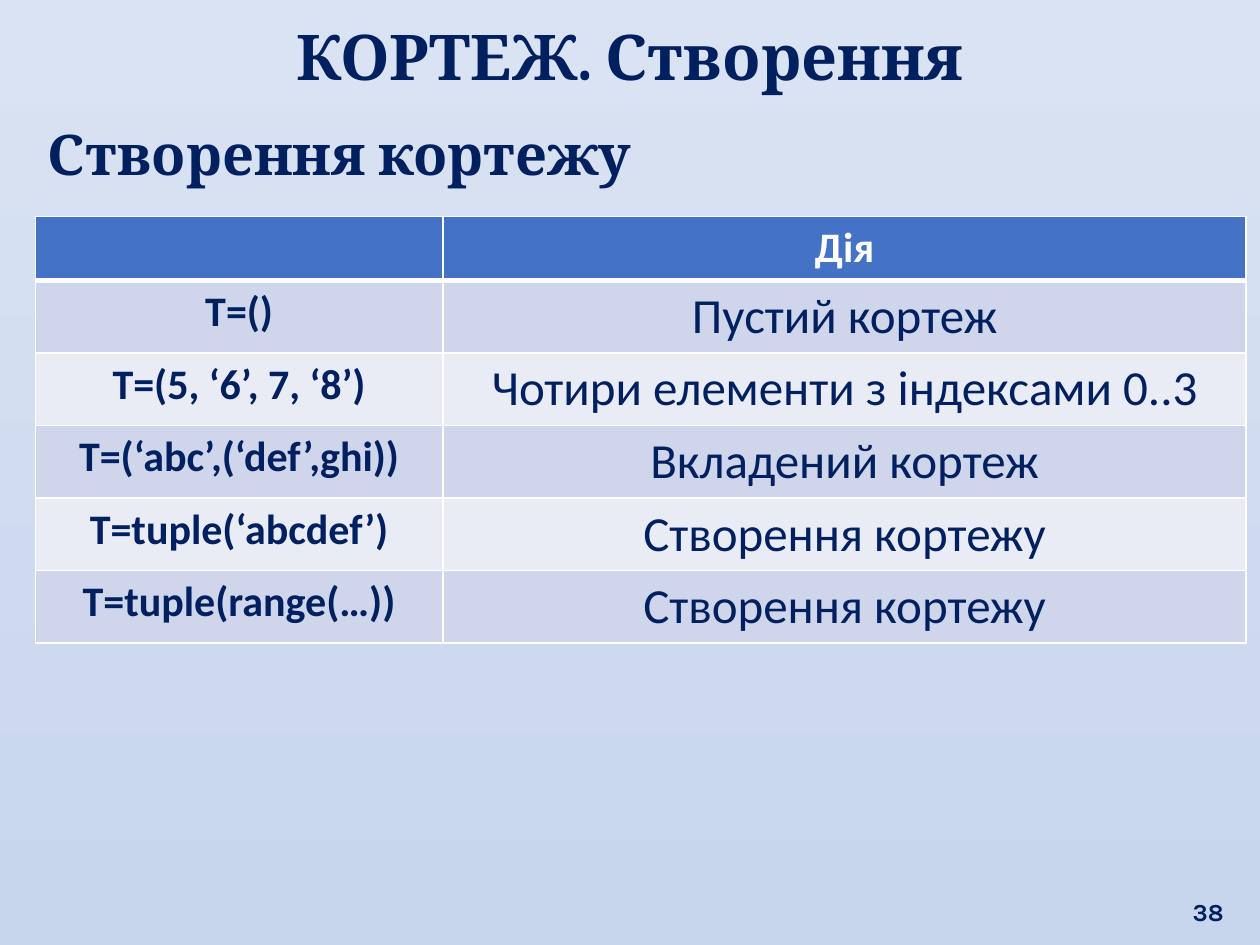
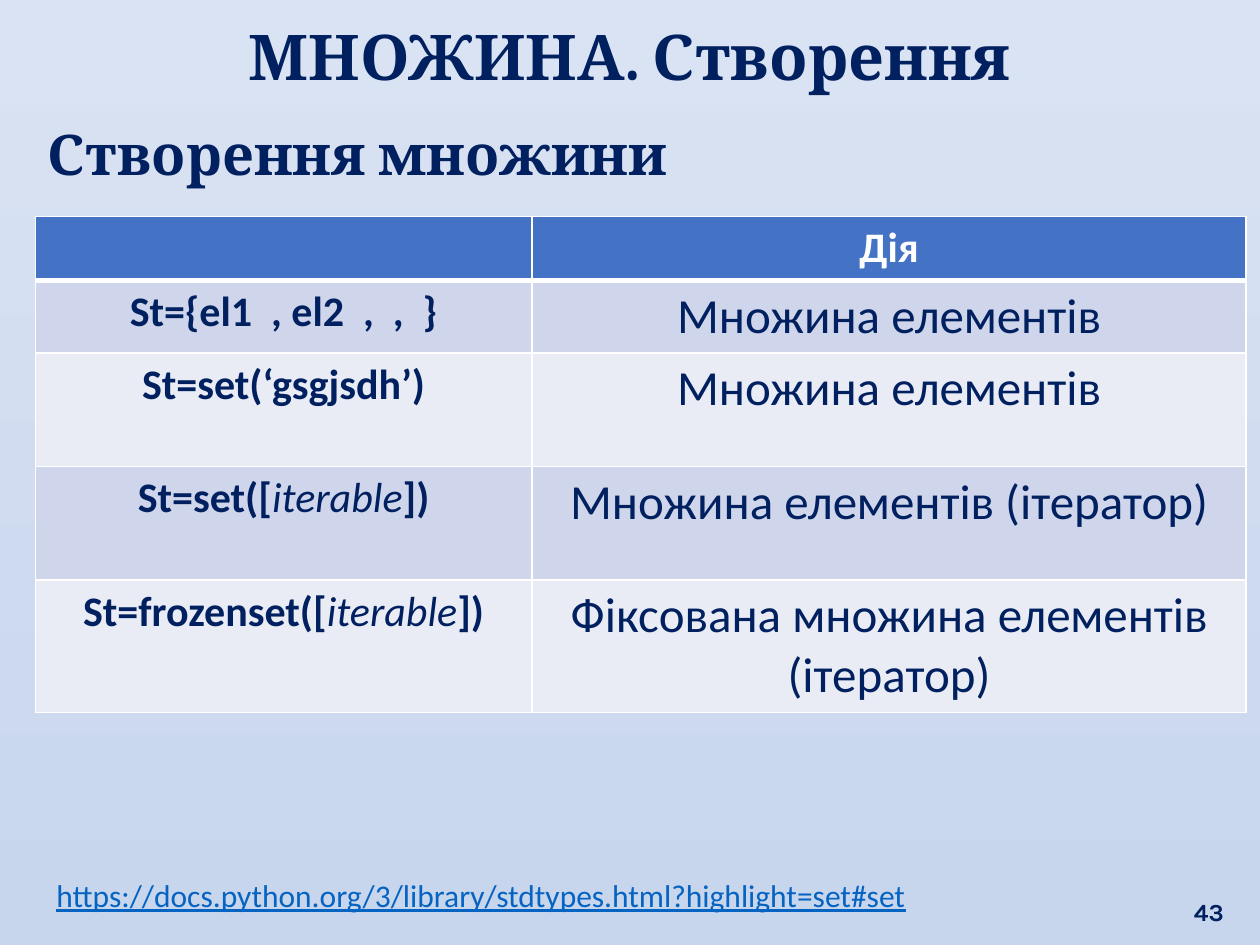
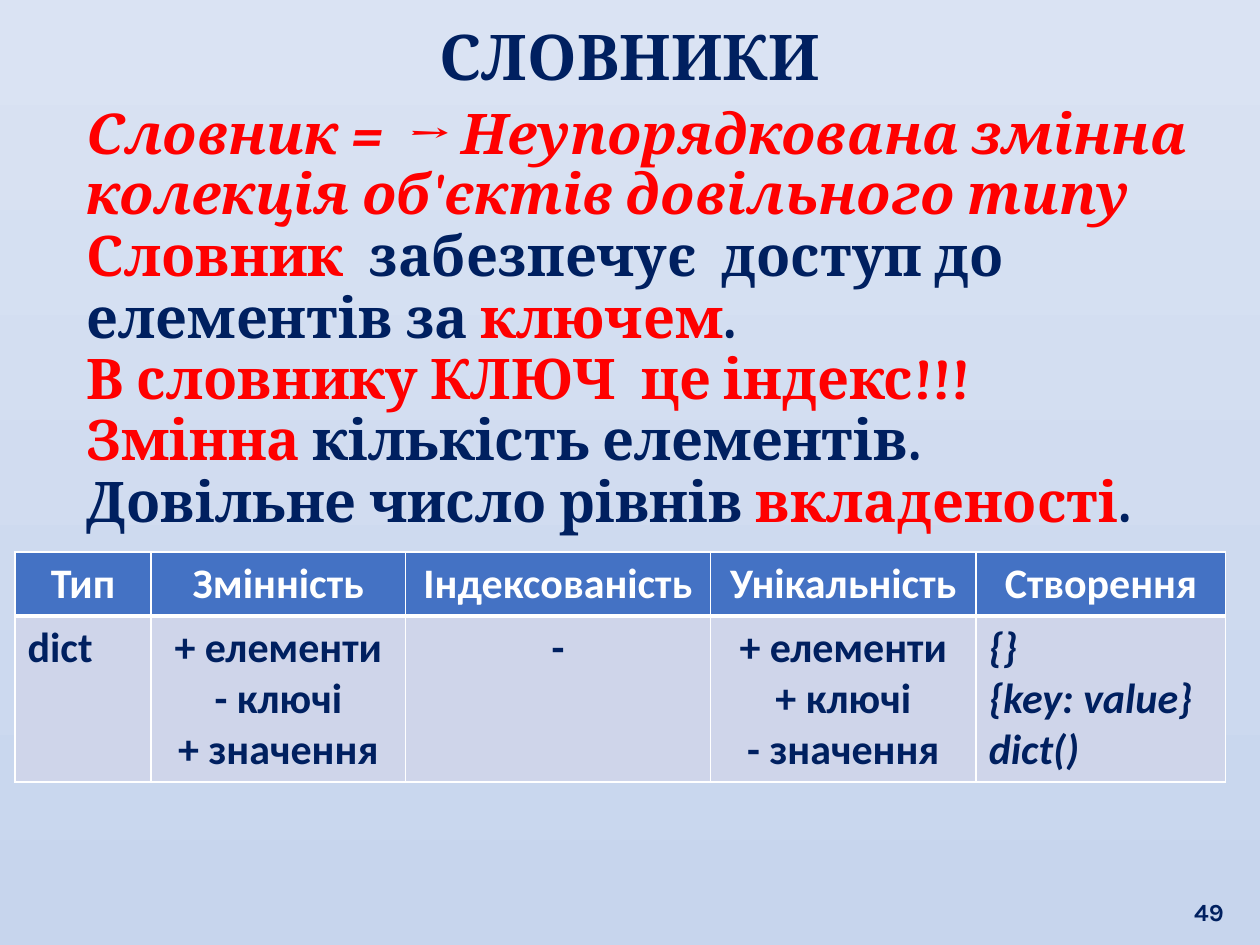
from lxml import etree
from pptx import Presentation
from pptx.dml.color import RGBColor
from pptx.enum.text import MSO_ANCHOR, MSO_AUTO_SIZE, PP_ALIGN
from pptx.oxml.ns import qn
from pptx.util import Pt

LEFT, CENTER, RIGHT = PP_ALIGN.LEFT, PP_ALIGN.CENTER, PP_ALIGN.RIGHT
TOP, MIDDLE, BOTTOM = MSO_ANCHOR.TOP, MSO_ANCHOR.MIDDLE, MSO_ANCHOR.BOTTOM
NO_AUTOFIT = MSO_AUTO_SIZE.NONE

NAVY = RGBColor(0x00, 0x20, 0x60)
RED = RGBColor(0xFF, 0x00, 0x00)
WHITE = RGBColor(0xFF, 0xFF, 0xFF)
LINK_BLUE = RGBColor(0x05, 0x63, 0xC1)
HEADER_BLUE = RGBColor(0x44, 0x72, 0xC4)
BANDS = (RGBColor(0xCF, 0xD5, 0xEA), RGBColor(0xE9, 0xEB, 0xF5))
BACKGROUND = (RGBColor(0xDA, 0xE3, 0xF3), RGBColor(0xC7, 0xD5, 0xED))

HEADING_FONT, TABLE_FONT, NUMBER_FONT = "Cambria", "Calibri", "Karla"

TITLE_BOX = (8.6, 5.8, 702.7, 51.1)
SUBTITLE_BOX = (20.2, 69.1, 685.4, 42.5)
LIST_BOX = (42.5, 56.9, 657.4, 296.6)
NUMBER_BOX = (671.8, 496.8, 34.6, 36)
LINK_BOX = (25.2, 496.8, 686.2, 28.8)
HEADER_HEIGHT, ROW_HEIGHT, TALL_ROW, TWO_LINE_ROW = 36, 40.8, 64.8, 74.4


def write(tf, paragraphs, align=LEFT, line=None, before=0, **fmt):
    """Fill a text frame; a paragraph is a string or a list of strings and (text, format) runs."""
    for i, runs in enumerate(paragraphs):
        p = tf.paragraphs[0] if i == 0 else tf.add_paragraph()
        p.alignment, p.line_spacing, p.space_before = align, line, Pt(before)
        for run in [runs] if isinstance(runs, str) else runs:
            text, extra = (run, {}) if isinstance(run, str) else run
            style = {**fmt, **extra}
            r = p.add_run()
            r.text = text
            r.font.name = style["font"]
            r.font.size = Pt(style["size"])
            r.font.color.rgb = style.get("color", NAVY)
            r.font.bold = style.get("bold", False)
            r.font.italic = style.get("italic", False)
            r.font.underline = style.get("underline", False)


def place(sp, box, anchor):
    sp.left, sp.top, sp.width, sp.height = map(Pt, box)
    tf = sp.text_frame
    tf.word_wrap, tf.auto_size, tf.vertical_anchor = True, NO_AUTOFIT, anchor
    return tf


def add_text(slide, box, text, anchor=TOP, **fmt):
    sp = slide.shapes.add_textbox(*map(Pt, box))
    write(place(sp, box, anchor), [text], **fmt)


def fill_body(slide, box, paragraphs, **fmt):
    tf = place(slide.placeholders[1], box, TOP)
    write(tf, paragraphs, before=7.5, line=0.9, font=HEADING_FONT, size=32, bold=True, **fmt)
    for p in tf.paragraphs:
        pPr = p._p.get_or_add_pPr()
        pPr.set("marL", "0")
        pPr.set("indent", "0")
        etree.SubElement(pPr, qn("a:buNone"))
    return tf


def set_borders(cell, top, bottom):
    tcPr = cell._tc.get_or_add_tcPr()
    for i, (side, width) in enumerate((("L", 1), ("R", 1), ("T", top), ("B", bottom))):
        ln = etree.Element(qn(f"a:ln{side}"), w=str(Pt(width)))
        solid = etree.SubElement(ln, qn("a:solidFill"))
        etree.SubElement(solid, qn("a:srgbClr"), val=str(WHITE))
        tcPr.insert(i, ln)


def add_table(slide, left, top, col_widths, row_heights, rows, column_formats):
    """Add a banded table whose cells are lists of paragraphs; the first row is the header."""
    frame = slide.shapes.add_table(len(rows), len(col_widths), Pt(left), Pt(top),
                                   Pt(sum(col_widths)), Pt(sum(row_heights)))
    table = frame.table
    for col, width in zip(table.columns, col_widths):
        col.width = Pt(width)
    for i, (row, height) in enumerate(zip(rows, row_heights)):
        table.rows[i].height = Pt(height)
        for j, paragraphs in enumerate(row):
            cell = table.cell(i, j)
            cell.fill.solid()
            if i == 0:
                cell.fill.fore_color.rgb = HEADER_BLUE
                fmt = dict(align=CENTER, size=24, bold=True, color=WHITE)
            else:
                cell.fill.fore_color.rgb = BANDS[(i - 1) % 2]
                fmt = column_formats[j]
            set_borders(cell, top=3 if i == 1 else 1, bottom=3 if i == 0 else 1)
            write(cell.text_frame, paragraphs, font=TABLE_FONT, **fmt)


def add_base_slide(prs, title, number):
    slide = prs.slides.add_slide(prs.slide_layouts[1])
    write(place(slide.shapes.title, TITLE_BOX, MIDDLE), [title], align=CENTER,
          font=HEADING_FONT, size=36, bold=True)
    add_text(slide, NUMBER_BOX, number, anchor=BOTTOM, align=RIGHT,
             font=NUMBER_FONT, size=14, bold=True)
    return slide


def creation_slide(prs, title, number, subtitle, code_width, row_heights, examples):
    """Slide with a subtitle and a table of code examples and what they do."""
    slide = add_base_slide(prs, title, number)
    fill_body(slide, SUBTITLE_BOX, [subtitle])
    rows = [([], ["Дія"])] + [([code], [action]) for code, action in examples]
    formats = (dict(align=CENTER, size=24, bold=True), dict(align=CENTER, size=28))
    add_table(slide, 20.2, 123.8, (code_width, 691.9 - code_width),
              (HEADER_HEIGHT, *row_heights), rows, formats)
    return slide


def dictionary_slide(prs):
    slide = add_base_slide(prs, "СЛОВНИКИ", "49")
    navy = dict(color=NAVY)
    tf = fill_body(slide, LIST_BOX, [
        [("Словник =  → Неупорядкована змінна колекція об'єктів довільного типу",
          dict(italic=True))],
        ["Словник ", (" забезпечує  доступ до елементів за ", navy), "ключем", (".", navy)],
        "В словнику КЛЮЧ  це індекс!!!",
        ["Змінна", (" кількість елементів.", navy)],
        [("Довільне число рівнів ", navy), "вкладеності", (".", navy)],
    ], color=RED)
    for p in tf.paragraphs[1:]:
        p.line_spacing, p.space_before = Pt(35), Pt(0)

    headers = ("Тип", "Змінність", "Індексованість", "Унікальність", "Створення")
    values = (["dict"],
              ["+ елементи", "- ключі", "+ значення"],
              ["-"],
              ["+ елементи", "+ ключі", "- значення"],
              ["{}", "{key: value}", "dict()"])
    name = dict(size=24, bold=True)
    trait = dict(name, align=CENTER)
    add_table(slide, 8.6, 315.4, (77.8, 145.4, 174.2, 151.9, 142.6), (HEADER_HEIGHT, 93.6),
              [[[h] for h in headers], values],
              (name, trait, trait, trait, dict(name, italic=True)))


def set_background(master):
    fill = master.background.fill
    fill.gradient()
    fill.gradient_angle = 270
    for stop, color in zip(fill.gradient_stops, BACKGROUND):
        stop.color.rgb = color


def iterable_call(function):
    return [f"St={function}([", ("iterable", dict(bold=False, italic=True)), "])"]


def main():
    prs = Presentation()
    prs.slide_width, prs.slide_height = Pt(720), Pt(540)
    set_background(prs.slide_master)

    creation_slide(prs, "КОРТЕЖ. Створення", "38", "Створення кортежу", 232.9, [ROW_HEIGHT] * 5, [
        ("T=()", "Пустий кортеж"),
        ("T=(5, ‘6’, 7, ‘8’)", "Чотири елементи з індексами 0..3"),
        ("T=(‘abc’,(‘def’,ghi))", "Вкладений кортеж"),
        ("T=tuple(‘abcdef’)", "Створення кортежу"),
        ("T=tuple(range(…))", "Створення кортежу"),
    ])

    sets = creation_slide(
        prs, "МНОЖИНА. Створення", "43", "Створення множини", 283.7,
        (ROW_HEIGHT, TALL_ROW, TALL_ROW, TWO_LINE_ROW), [
            ("St={el1  , el2  ,  ,  }", "Множина елементів"),
            ("St=set(‘gsgjsdh’)", "Множина елементів"),
            (iterable_call("set"), "Множина елементів (ітератор)"),
            (iterable_call("frozenset"), "Фіксована множина елементів (ітератор)"),
        ])
    add_text(sets, LINK_BOX, "https://docs.python.org/3/library/stdtypes.html?highlight=set#set",
             font=TABLE_FONT, size=18, color=LINK_BLUE, underline=True)

    dictionary_slide(prs)
    prs.save("out.pptx")


if __name__ == "__main__":
    main()
